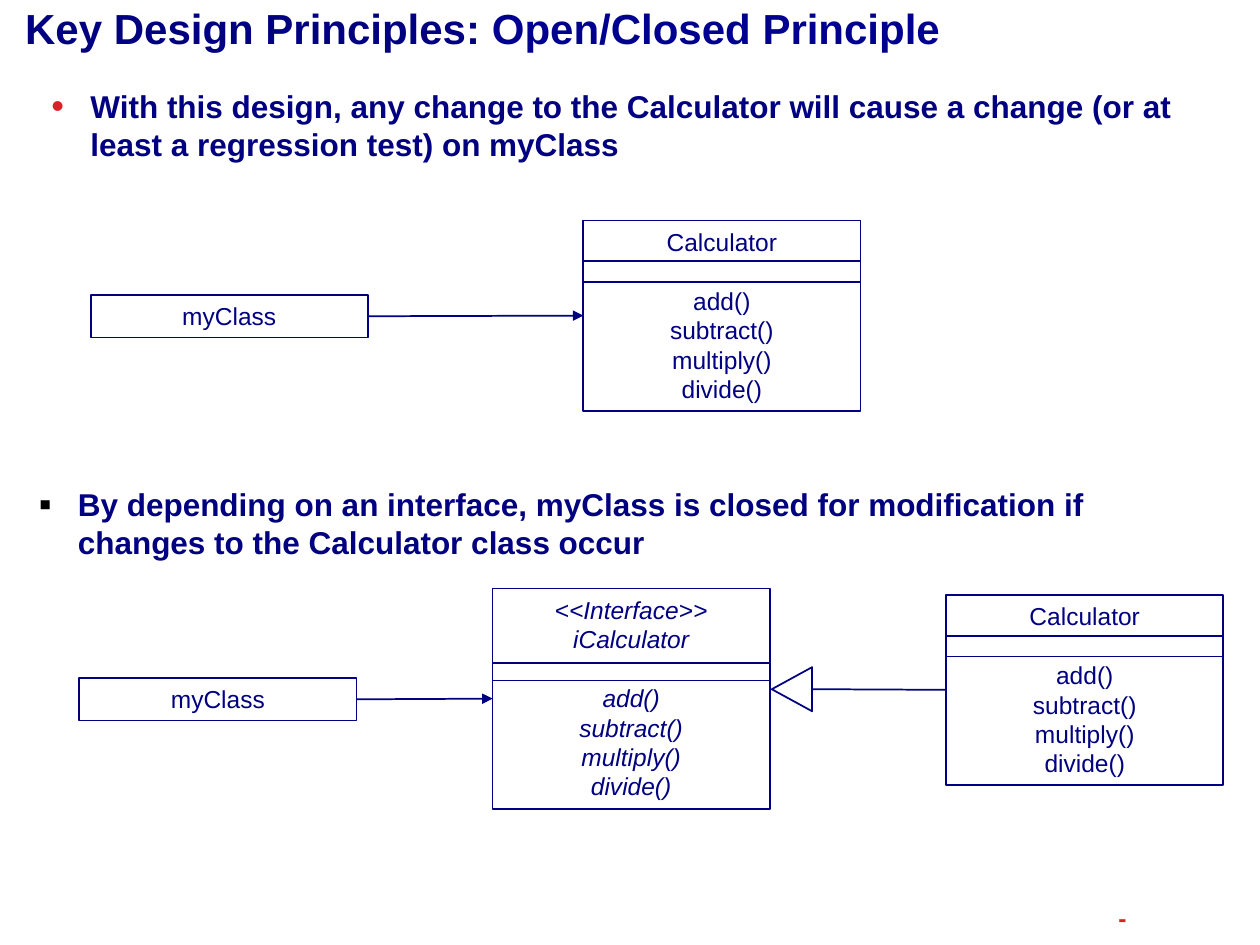
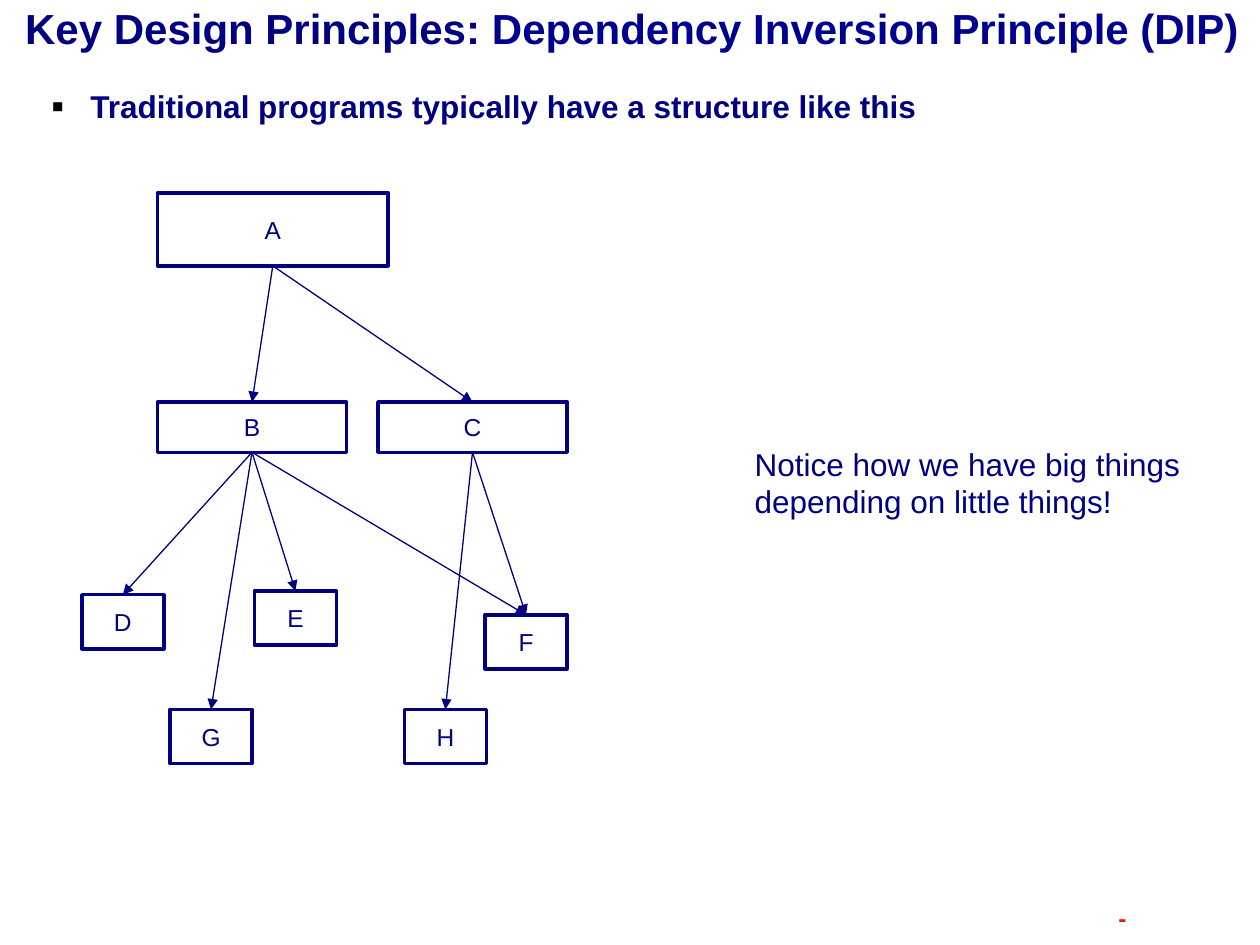
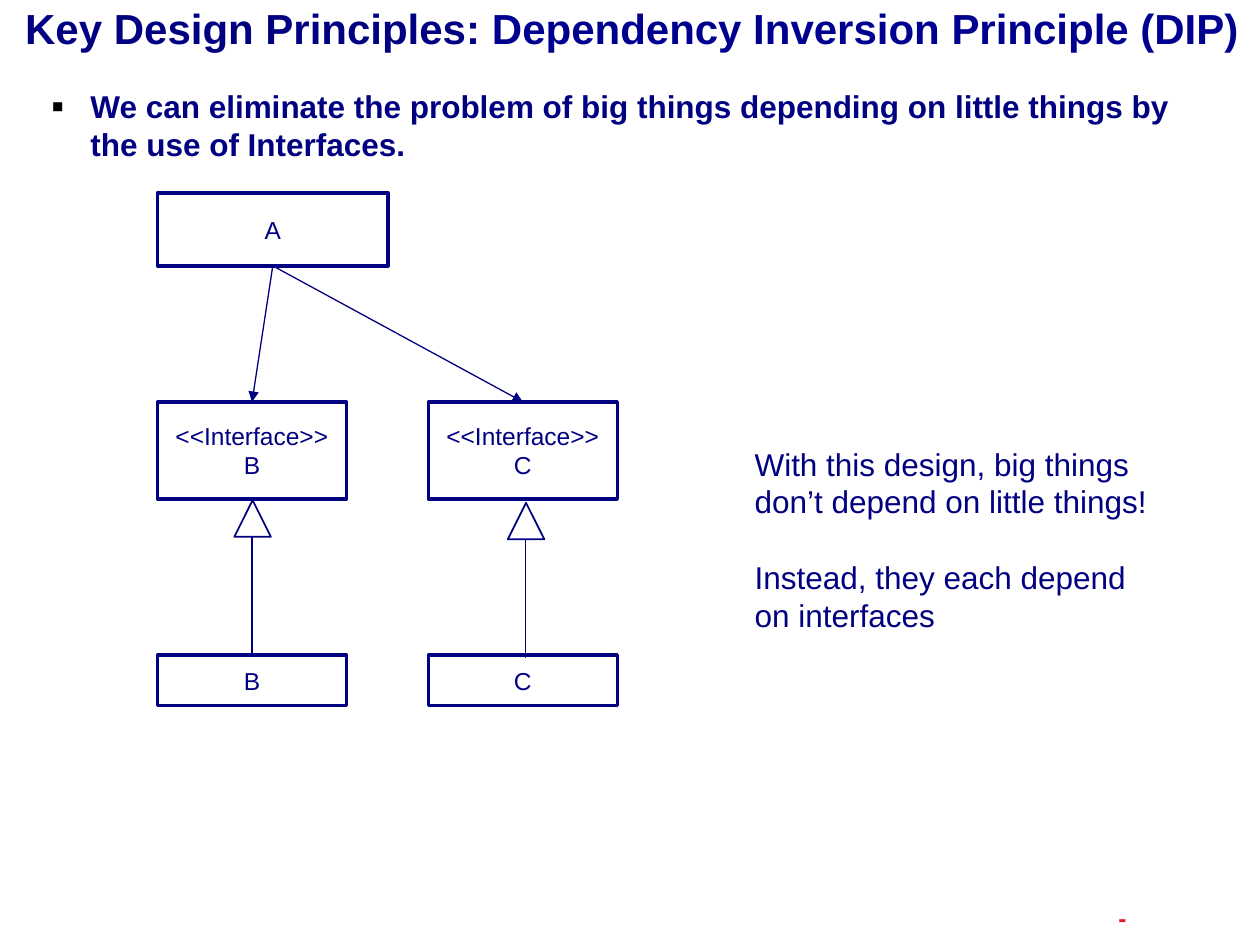
from lxml import etree
from pptx import Presentation
from pptx import util as u
from pptx.dml.color import RGBColor
from pptx.enum import shapes, text
from pptx.oxml.ns import qn

C = {"navy": "000080", "blue": "000090", "red": "DA2128", "black": "000000"}
RECT = shapes.MSO_SHAPE.RECTANGLE
TRIANGLE = shapes.MSO_SHAPE.ISOSCELES_TRIANGLE
TOP, MIDDLE = text.MSO_ANCHOR.TOP, text.MSO_ANCHOR.MIDDLE
LEFT, CENTER, RIGHT = text.PP_ALIGN.LEFT, text.PP_ALIGN.CENTER, text.PP_ALIGN.RIGHT
BOTTOM_SIDE, LEFT_SIDE, RIGHT_SIDE, TOP_SIDE = 2, 1, 3, 0


def add_text(s, paras, at, kind=None, line=1, size=14, bold=False, italic=False, color="navy",
             align=LEFT, anchor=TOP, ins=(0.1, 0.05, 0.1, 0.05), wrap=True, bullet=None, gaps={}):
    box = [u.Inches(v) for v in at]
    if kind is None:
        sp = s.shapes.add_textbox(*box)
    else:
        sp = s.shapes.add_shape(kind, *box)
        sp.shadow.inherit = False
        sp.fill.background()
        sp.line.color.rgb = RGBColor.from_string(C["navy"])
        sp.line.width = u.Pt(line)
    tf = sp.text_frame
    tf.word_wrap = wrap
    tf.vertical_anchor = anchor
    tf.margin_left, tf.margin_top, tf.margin_right, tf.margin_bottom = [u.Inches(v) for v in ins]
    for i, para in enumerate(paras):
        p = tf.paragraphs[0] if i == 0 else tf.add_paragraph()
        p.alignment = align
        if i in gaps:
            p.space_before = u.Pt(gaps[i])
        for words, tone in [(para, color)] if isinstance(para, str) else para:
            r = p.add_run()
            r.text = words
            r.font.name, r.font.size = "Arial", u.Pt(size)
            r.font.bold, r.font.italic = bold, italic
            r.font.color.rgb = RGBColor.from_string(C[tone])
        if bullet:
            char, tone = bullet
            pPr = p._p.get_or_add_pPr()
            pPr.set("marL", str(u.Inches(0.31)))
            pPr.set("indent", str(-u.Inches(0.31)))
            clr = etree.SubElement(pPr, qn("a:buClr"))
            etree.SubElement(clr, qn("a:srgbClr"), val=C[tone])
            etree.SubElement(pPr, qn("a:buSzPct"), val="115000")
            etree.SubElement(pPr, qn("a:buFont"), typeface="Arial")
            etree.SubElement(pPr, qn("a:buChar"), char=char)
    return sp


def add_line(s, start, end, width=1, arrow=False):
    joins = [not isinstance(v[0], (int, float)) for v in (start, end)]
    points = [(0, 0) if j else v for j, v in zip(joins, (start, end))]
    c = s.shapes.add_connector(shapes.MSO_CONNECTOR.STRAIGHT,
                               *[u.Inches(v) for point in points for v in point])
    if joins[0]:
        c.begin_connect(*start)
    if joins[1]:
        c.end_connect(*end)
    c.line.color.rgb = RGBColor.from_string(C["navy"])
    c.line.width = u.Pt(width)
    if arrow:
        etree.SubElement(c.line._get_or_add_ln(), qn("a:tailEnd"), type="triangle")
    etree.SubElement(c._element.spPr, qn("a:effectLst"))


prs = Presentation()
prs.slide_width, prs.slide_height = u.Inches(10), u.Inches(7.5)

DIP = "Dependency Inversion Principle (DIP)"
square = ("▪", "black")
pages = [
    ("Open/Closed Principle", ("•", "red"), 0.71,
     "With this design, any change to the Calculator will cause a change "
     "(or at least a regression test) on myClass"),
    (DIP, square, 0.4, "Traditional programs typically have a structure like this"),
    (DIP, square, 1.21,
     "We can eliminate the problem of big things depending on little things by the use of Interfaces."),
]
for name, bullet, height, words in pages:
    s = prs.slides.add_slide(prs.slide_layouts[6])
    add_text(s, ["-"], (7.92, 7.11, 1.02, 0.34), bold=True, color="red", align=RIGHT,
             anchor=MIDDLE, ins=(0, 0.05, 0, 0.05))
    add_text(s, [[("Key Design Principles: ", "navy"), (name, "blue")]], (0, 0, 10, 0.44),
             size=24, bold=True, anchor=MIDDLE, ins=(0.2, 0, 0.1, 0))
    add_text(s, [words], (0.31, 0.64, 9.4, height), size=18, bold=True, bullet=bullet)
closed, traditional, inverted = prs.slides

s = closed
add_text(s, ["By depending on an interface, myClass is closed for modification if "
             "changes to the Calculator class occur"],
         (0.21, 3.8, 9.4, 0.71), size=18, bold=True, bullet=square)

methods = ["add()", "subtract()", "multiply()", "divide()"]
classes = []
for head, x, y, h, rules, italic in [
    (["Calculator"], 4.63, 1.75, 1.51, (2.07, 2.24), False),
    (["<<Interface>>", "iCalculator"], 3.91, 4.67, 1.75, (5.26, 5.4), True),
    (["Calculator"], 7.51, 4.72, 1.51, (5.05, 5.21), False),
]:
    classes.append(add_text(s, head + methods, (x, y, 2.2, h), kind=RECT, align=CENTER,
                            italic=italic, gaps={len(head): 17}))
    for rule in rules:
        add_line(s, (x, rule), (x + 2.2, rule))
calculator, interface, implementation = classes

for x, y, target in [(0.72, 2.34, calculator), (0.63, 5.38, interface)]:
    client = add_text(s, ["myClass"], (x, y, 2.2, 0.34), kind=RECT, align=CENTER)
    add_line(s, (client, RIGHT_SIDE), (target, LEFT_SIDE), arrow=True)

sp = add_text(s, [], (6.11, 5.31, 0.35, 0.32), kind=TRIANGLE)
sp.rotation = 270
add_line(s, (6.44, 5.47), (implementation, LEFT_SIDE))

big, medium, tall, small = (1.83, 0.58), (1.5, 0.4), (1.5, 0.77), (0.65, 0.43)
stereotype = "<<Interface>>"
diagrams = [
    (traditional,
     {"A": (["A"], 1.25, 1.53, big), "B": (["B"], 1.25, 3.19, medium),
      "C": (["C"], 3, 3.19, medium), "D": (["D"], 0.65, 4.72, small),
      "E": (["E"], 2.02, 4.69, small), "F": (["F"], 3.85, 4.88, small),
      "G": (["G"], 1.35, 5.63, small), "H": (["H"], 3.21, 5.63, small)},
     ["AB", "AC", "BD", "BG", "BE", "BF", "CH", "CF"]),
    (inverted,
     {"A": (["A"], 1.25, 1.53, big), "B": ([stereotype, "B"], 1.25, 3.19, tall),
      "C": ([stereotype, "C"], 3.4, 3.19, tall), "b": (["B"], 1.25, 5.2, medium),
      "c": (["C"], 3.4, 5.2, medium)},
     ["AB", "AC"]),
]
for s, modules, links in diagrams:
    boxes = {key: add_text(s, label, (x, y, *size), kind=RECT, line=2, align=CENTER, anchor=MIDDLE)
             for key, (label, x, y, size) in modules.items()}
    for a, b in links:
        add_line(s, (boxes[a], BOTTOM_SIDE), (boxes[b], TOP_SIDE), width=0.75, arrow=True)

add_text(traditional, ["Notice how we have big things", "depending on little things!"],
         (5.89, 3.48, 3.68, 1.01), size=18, wrap=False)
add_text(inverted, ["With this design, big things", "don’t depend on little things!",
                    "Instead, they each depend on interfaces"],
         (5.89, 3.48, 3.41, 1.92), size=18, gaps={2: 21.6})

for x, y, end in [(2, 3.97, (boxes["b"], TOP_SIDE)), (4.17, 3.99, (4.17, 5.22))]:
    add_text(inverted, [], (x - 0.14, y, 0.29, 0.29), kind=TRIANGLE)
    add_line(inverted, (x, y + 0.29), end)

prs.save("out.pptx")
